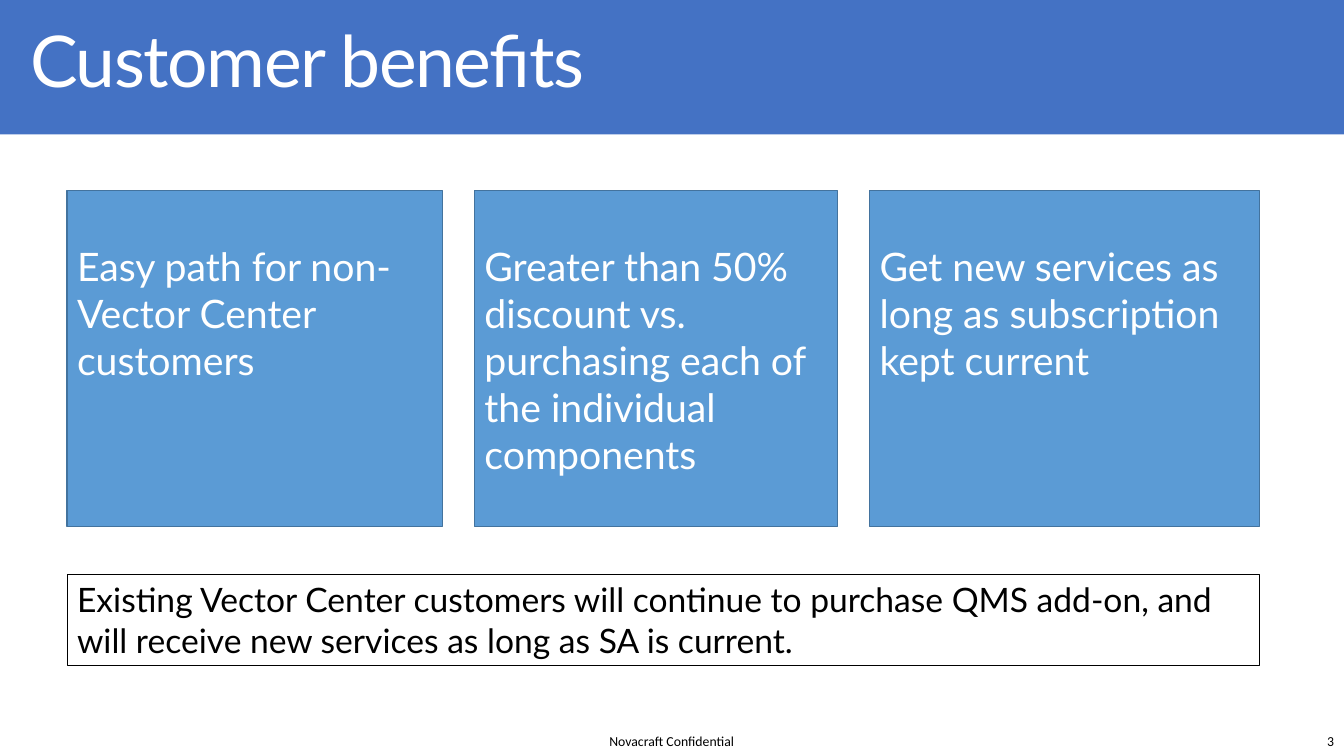
import pptx
import pptx.util
import pptx.dml.color
import pptx.enum.text
import pptx.enum.shapes
from dataclasses import dataclass

Pt = pptx.util.Pt
Align = pptx.enum.text.PP_ALIGN
Anchor = pptx.enum.text.MSO_ANCHOR
Rect = pptx.enum.shapes.MSO_SHAPE.RECTANGLE


@dataclass(frozen=True)
class Theme:
    banner: str = "4472C4"
    card: str = "5B9BD5"
    edge: str = "43739E"
    dark: str = "000000"
    light: str = "FFFFFF"
    face: str = "Lato"
    small: str = "Calibri"
    head: float = 51
    body: float = 28
    note: float = 24
    foot: float = 9.8


THEME = Theme()


def tint(code):
    return pptx.dml.color.RGBColor.from_string(code)


def write(shape, text, size, color, face=THEME.face, align=Align.LEFT,
          anchor=Anchor.TOP, pad=(7.2, 3.6)):
    frame = shape.text_frame
    frame.word_wrap = True
    frame.auto_size = pptx.enum.text.MSO_AUTO_SIZE.NONE
    frame.vertical_anchor = anchor
    frame.margin_left = frame.margin_right = Pt(pad[0])
    frame.margin_top = Pt(pad[1])
    frame.margin_bottom = Pt(3.6)
    line = frame.paragraphs[0]
    line.text = text
    line.alignment = align
    line.font.size = Pt(size)
    line.font.name = face
    line.font.color.rgb = tint(color)
    return line


def add_box(slide, place, fill=None, edge=None, width=1):
    box = slide.shapes.add_shape(Rect, *map(Pt, place))
    box.shadow.inherit = False
    if fill:
        box.fill.solid()
        box.fill.fore_color.rgb = tint(fill)
    else:
        box.fill.background()
    if edge:
        box.line.color.rgb = tint(edge)
        box.line.width = Pt(width)
    else:
        box.line.fill.background()
    return box


def add_title(slide, text):
    banner = add_box(slide, (0, 0, 960, 96), THEME.banner)
    slide.shapes._spTree.insert(2, banner._element)
    title = slide.shapes.title
    title.left, title.top, title.width, title.height = map(
        Pt, (10, 11.5, 917, 73))
    line = write(title, text, THEME.head, THEME.light, pad=(11.5, 7.2))
    line.line_spacing = 0.9
    line.runs[0].font._element.set("spc", "-100")


def add_cards(slide, cards, left, gap):
    for text, width in cards:
        card = add_box(slide, (left, 136, width, 240), THEME.card, THEME.edge)
        write(card, text, THEME.body, THEME.light, pad=(7.2, 37.2))
        left += width + gap


def add_note(slide, text):
    note = add_box(slide, (48, 410.2, 851.5, 65.4), None, THEME.dark, 0.75)
    write(note, text, THEME.note, THEME.dark)


def add_foot(slide, text, left, width, align):
    foot = slide.shapes.add_textbox(*map(Pt, (left, 519.2, width, 20.8)))
    write(foot, text, THEME.foot, THEME.dark, THEME.small, align,
          Anchor.MIDDLE)


def main():
    deck = pptx.Presentation()
    deck.slide_width, deck.slide_height = Pt(960), Pt(540)
    slide = deck.slides.add_slide(deck.slide_layouts[5])
    add_foot(slide, "3", 818.6, 141.4, Align.RIGHT)
    add_foot(slide, "Novacraft Confidential", 421, 117.6, Align.CENTER)
    add_title(slide, "Customer benefits")
    add_cards(slide, [
        ("Easy path for non-Vector Center customers", 268),
        ("Greater than 50% discount vs. purchasing each of "
         "the individual components", 259.2),
        ("Get new services as long as subscription kept current", 278.3),
    ], 48, 23)
    add_note(slide, "Existing Vector Center customers will continue to "
             "purchase QMS add-on, and will receive new services as long "
             "as SA is current.")
    deck.save("out.pptx")


if __name__ == "__main__":
    main()
